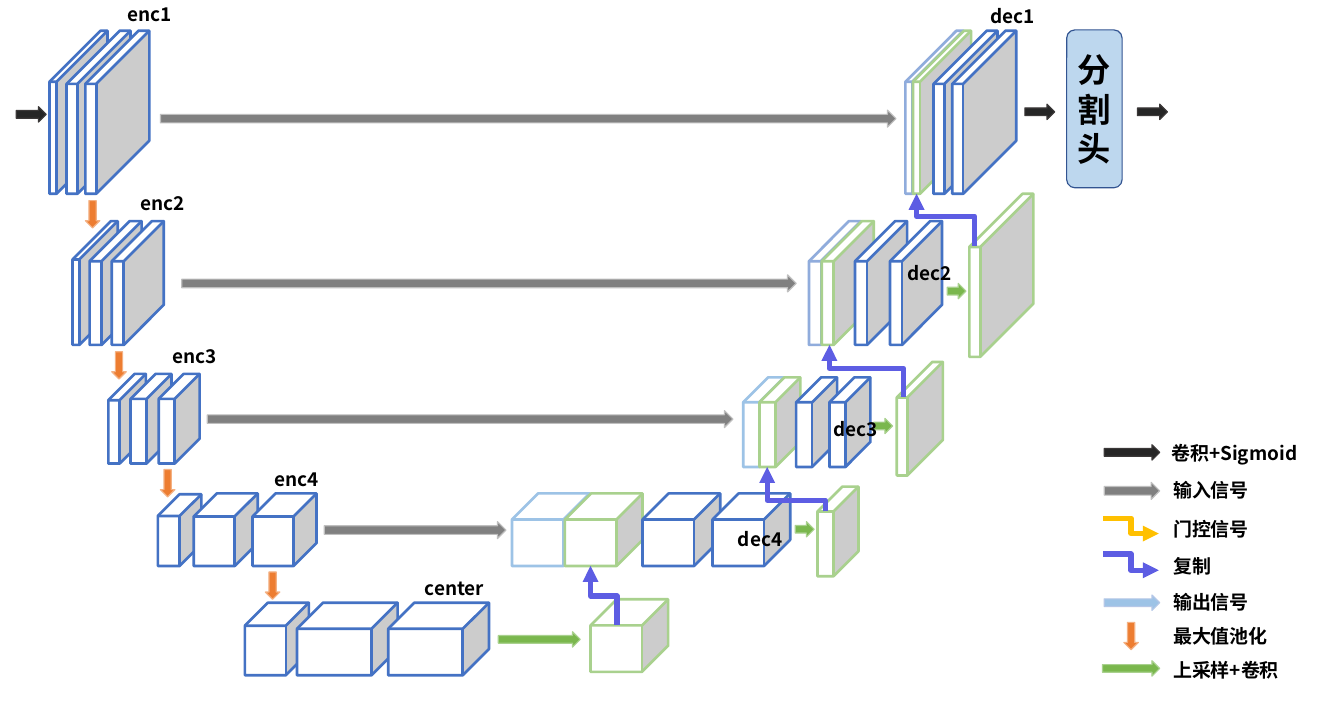
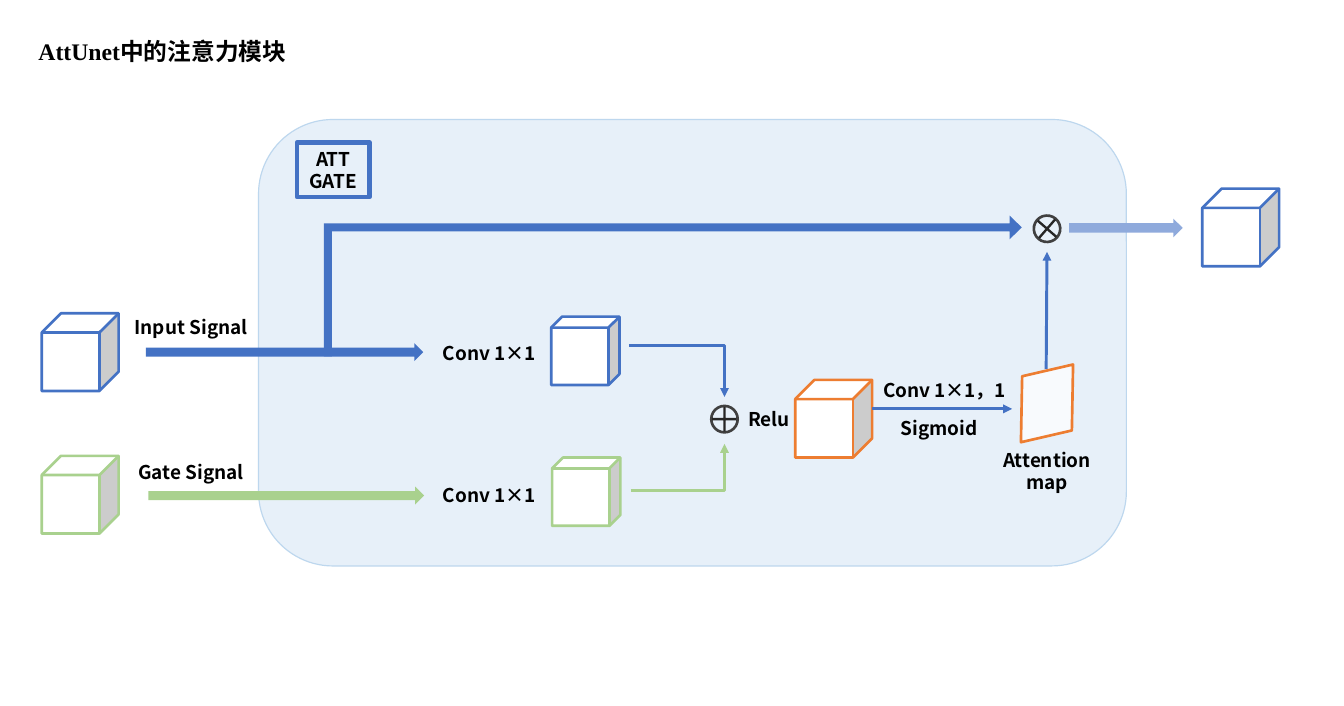
from dataclasses import dataclass

from lxml.etree import SubElement
from pptx import Presentation
from pptx.dml.color import RGBColor
from pptx.enum.shapes import MSO_CONNECTOR, MSO_SHAPE
from pptx.enum.text import MSO_ANCHOR, MSO_AUTO_SIZE, PP_ALIGN
from pptx.oxml.ns import qn
from pptx.util import Inches, Pt


@dataclass(frozen=True)
class Theme:
    blue: str = "4472C4"
    soft_blue: str = "90ACDC"
    pale_blue: str = "9DC3E6"
    green: str = "A9D18E"
    orange: str = "ED7D31"
    violet: str = "5D5DE3"
    yellow: str = "FFC000"
    white: str = "FFFFFF"
    black: str = "000000"
    ink: str = "262626"
    ring: str = "404040"
    panel: str = "DEEBF7"
    panel_edge: str = "BDD7EE"
    head_edge: str = "325491"
    output: str = "8FAADC"
    # Arrow styles: fill and outline
    conv: tuple = ("262626", "3B3838")
    skip: tuple = ("808080", "BFBFBF")
    out: tuple = ("9DC3E6", "B4C7E7")
    pool: tuple = ("ED7D31", "F4B183")
    upsample: tuple = ("7AB74D", "A9D18E")
    font: str = "Noto Sans CJK SC"
    title_font: str = "Times New Roman"
    head_font: str = "Calibri"
    label_size: int = 16
    title_size: int = 20
    head_size: int = 28
    cube_line: float = 2.25
    thin_line: float = 1


T = Theme()
LEFT, CENTER = PP_ALIGN.LEFT, PP_ALIGN.CENTER


def write(sp, text, size=T.label_size, font=T.font, align=CENTER, anchor=MSO_ANCHOR.TOP):
    """Fill a shape with bold text, one paragraph per line."""
    tf = sp.text_frame
    tf.word_wrap = True
    tf.auto_size = MSO_AUTO_SIZE.NONE
    tf.vertical_anchor = anchor
    for i, line in enumerate(text.split("\n")):
        p = tf.add_paragraph() if i else tf.paragraphs[0]
        p.alignment = align
        r = p.add_run()
        r.text = line
        r.font.size = Pt(size)
        r.font.bold = True
        r.font.color.rgb = RGBColor.from_string(T.black)
        r.font.name = font
        SubElement(r.font._element, qn("a:ea"), typeface=T.font)


def draw(s, kind, box, fill=None, line=None, width=T.cube_line, adj=(), rotation=0, opacity=100):
    """Add a preset shape; box is left, top, width, height in inches."""
    sp = s.shapes.add_shape(kind, *map(Inches, box))
    sp.shadow.inherit = False
    sp.rotation = rotation
    for i, value in enumerate(adj):
        sp.adjustments[i] = value
    if fill:
        sp.fill.solid()
        sp.fill.fore_color.rgb = RGBColor.from_string(fill)
        if opacity < 100:
            color = sp._element.spPr.find(qn("a:solidFill")).find(qn("a:srgbClr"))
            SubElement(color, qn("a:alpha"), val=str(opacity * 1000))
    else:
        sp.fill.background()
    if line:
        sp.line.color.rgb = RGBColor.from_string(line)
        sp.line.width = Pt(width)
    else:
        sp.line.fill.background()
    return sp


prs = Presentation()
prs.slide_width, prs.slide_height = Inches(15.75), Inches(8.27)

# Slide 1: network overview
net = prs.slides.add_slide(prs.slide_layouts[6])

# Rows: top, height, width, depth ratio, outline, left edges
feature_maps = [
    # Encoder
    (0.36, 1.91, 0.68, 0.88, T.blue, [0.58]),
    (0.36, 1.91, 0.75, 0.83, T.blue, [0.78, 1.0]),
    (2.59, 1.45, 0.53, 0.85, T.blue, [0.85]),
    (2.59, 1.45, 0.61, 0.77, T.blue, [1.05, 1.31]),
    (4.38, 1.05, 0.44, 0.7, T.blue, [1.27]),
    (4.38, 1.05, 0.48, 0.61, T.blue, [1.53, 1.86]),
    (5.79, 0.84, 0.51, 0.5, T.blue, [1.85]),
    (5.78, 0.85, 0.75, 0.36, T.blue, [2.27, 2.96]),
    # Center
    (7.06, 0.85, 0.75, 0.36, T.blue, [2.87]),
    (7.06, 0.85, 1.18, 0.36, T.blue, [3.48, 4.55]),
    # Decoder
    (0.36, 1.91, 0.68, 0.88, T.soft_blue, [10.61]),
    (0.36, 1.91, 0.68, 0.88, T.green, [10.7]),
    (0.36, 1.91, 0.75, 0.83, T.blue, [10.94, 11.16]),
    (2.59, 1.45, 0.61, 0.77, T.soft_blue, [9.48]),
    (2.59, 1.45, 0.61, 0.77, T.green, [9.63]),
    (2.59, 1.45, 0.61, 0.77, T.blue, [10.02, 10.43]),
    (4.42, 1.05, 0.48, 0.61, T.pale_blue, [8.71]),
    (4.42, 1.05, 0.48, 0.61, T.green, [8.9]),
    (4.42, 1.05, 0.48, 0.61, T.blue, [9.33, 9.72]),
    (5.78, 0.85, 0.91, 0.36, T.pale_blue, [6.0]),
    (5.78, 0.85, 0.91, 0.36, T.green, [6.62]),
    (5.78, 0.85, 0.91, 0.36, T.blue, [7.53, 8.35]),
    # Upsampled
    (2.27, 1.91, 0.75, 0.83, T.green, [11.36]),
    (4.24, 1.33, 0.54, 0.77, T.green, [10.51]),
    (5.7, 1.05, 0.48, 0.61, T.green, [9.58]),
    (7.02, 0.85, 0.91, 0.36, T.green, [6.92]),
]
for top, height, width, depth, outline, lefts in feature_maps:
    for left in lefts:
        draw(net, MSO_SHAPE.CUBE, (left, top, width, height), T.white, outline, adj=[depth])

# Rows: style, height, then left, top, width of each arrow
right_arrows = [
    (T.conv, 0.18, [(0.19, 1.25, 0.35), (12.01, 1.22, 0.35), (13.33, 1.22, 0.35),
                    (12.94, 5.21, 0.65)]),
    (T.skip, 0.2, [(1.88, 1.29, 8.62), (2.13, 3.22, 7.2), (2.43, 4.81, 6.16),
                   (3.8, 6.11, 2.13), (12.94, 5.65, 0.65)]),
    (T.upsample, 0.18, [(11.1, 3.32, 0.22), (10.24, 4.9, 0.22), (9.32, 6.11, 0.22),
                        (5.84, 7.4, 0.96), (12.92, 7.74, 0.67)]),
    (T.out, 0.18, [(12.94, 6.97, 0.65)]),
]
for (fill, line), height, places in right_arrows:
    for left, top, width in places:
        draw(net, MSO_SHAPE.RIGHT_ARROW, (left, top, width, height), fill, line, T.thin_line)

for left, top in [(1.0, 2.35), (1.31, 4.12), (1.88, 5.5), (3.11, 6.7), (13.17, 7.29)]:
    draw(net, MSO_SHAPE.DOWN_ARROW, (left, top, 0.17, 0.32), *T.pool, T.thin_line)

head = draw(net, MSO_SHAPE.ROUNDED_RECTANGLE, (12.5, 0.35, 0.65, 1.85), T.panel_edge,
            T.head_edge, T.thin_line, adj=[0.15])
write(head, "分割头", size=T.head_size, font=T.head_font, anchor=MSO_ANCHOR.MIDDLE)

# Slide 2: attention gate
att = prs.slides.add_slide(prs.slide_layouts[5])
title = att.shapes.title
title.left, title.top, title.width, title.height = map(Inches, (0.35, 0.38, 3.45, 0.44))
write(title, "AttUnet中的注意力模块", size=T.title_size, font=T.title_font, align=LEFT)

draw(att, MSO_SHAPE.ROUNDED_RECTANGLE, (3.03, 1.4, 10.17, 5.23), T.panel, T.panel_edge,
     T.thin_line, opacity=70)
gate = draw(att, MSO_SHAPE.RECTANGLE, (3.48, 1.67, 0.85, 0.64), line=T.blue, width=3.75)
write(gate, "ATT GATE", anchor=MSO_ANCHOR.MIDDLE)

for left, top, width, height, depth, outline in [
    (0.49, 3.67, 0.9, 0.91, 0.25, T.blue),
    (0.49, 5.34, 0.9, 0.91, 0.25, T.green),
    (6.46, 3.71, 0.8, 0.8, 0.16, T.blue),
    (6.47, 5.36, 0.8, 0.8, 0.16, T.green),
    (9.32, 4.45, 0.9, 0.91, 0.25, T.orange),
    (14.09, 2.21, 0.9, 0.91, 0.25, T.blue),
]:
    draw(att, MSO_SHAPE.CUBE, (left, top, width, height), T.white, outline, adj=[depth])

for box, fill in [
    ((1.71, 4.02, 3.25, 0.21), T.blue),
    ((1.74, 5.7, 3.23, 0.21), T.green),
    ((12.53, 2.56, 1.33, 0.22), T.output),
]:
    draw(att, MSO_SHAPE.RIGHT_ARROW, box, fill)

bypass = draw(att, MSO_SHAPE.BENT_UP_ARROW, (7.06, -0.74, 1.65, 8.18), T.blue,
              adj=[0.057, 0.084, 0.087], rotation=90)
bypass._element.spPr.xfrm.set("flipH", "1")

ring, plus = 0.31, 0.39
for x, y, angle in [(8.49, 4.91, 0), (12.27, 2.68, 41)]:
    draw(att, MSO_SHAPE.OVAL, (x - ring / 2, y - ring / 2, ring, ring), line=T.ring,
         rotation=angle)
    draw(att, MSO_SHAPE.MATH_PLUS, (x - plus / 2, y - plus / 2, plus, plus), T.ink,
         adj=[0.07], rotation=angle)

draw(att, MSO_SHAPE.PARALLELOGRAM, (11.87, 4.35, 0.8, 0.75), T.white, T.orange,
     rotation=347, opacity=73)

# Labels of both slides: left, top, width, text
net_labels = [
    (1.4, -0.02, 0.75, "enc1"),
    (1.55, 2.19, 0.75, "enc2"),
    (1.92, 3.99, 0.75, "enc3"),
    (3.12, 5.43, 0.75, "enc4"),
    (4.88, 6.7, 0.92, "center"),
    (8.55, 6.13, 0.75, "dec4"),
    (9.67, 4.84, 0.75, "dec3"),
    (10.54, 3.02, 0.75, "dec2"),
    (11.51, 0.01, 0.75, "dec1"),
    (13.63, 5.12, 1.88, "卷积+Sigmoid"),
    (13.65, 5.56, 1.88, "输入信号"),
    (13.65, 6.01, 1.88, "门控信号"),
    (13.65, 6.45, 1.88, "复制"),
    (13.65, 6.87, 1.88, "输出信号"),
    (13.65, 7.27, 1.88, "最大值池化"),
    (13.65, 7.66, 1.88, "上采样+卷积"),
]
att_labels = [
    (1.39, 3.65, 1.7, "Input Signal"),
    (1.39, 5.35, 1.7, "Gate Signal"),
    (5.01, 3.95, 1.45, "Conv 1×1"),
    (5.01, 5.62, 1.45, "Conv 1×1"),
    (8.64, 4.72, 0.74, "Relu"),
    (10.15, 4.38, 1.84, "Conv 1×1，1"),
    (10.35, 4.83, 1.31, "Sigmoid"),
    (11.42, 5.2, 1.7, "Attention\nmap"),
]
for s, labels, align in [(net, net_labels, LEFT), (att, att_labels, CENTER)]:
    for left, top, width, text in labels:
        height = 0.37 + 0.27 * text.count("\n")
        write(s.shapes.add_textbox(*map(Inches, (left, top, width, height))), text, align=align)

# Connectors of both slides: slide, route, start, end, bend position, colour, width
connectors = [
    (net, "up", (7.23, 7.32), (6.92, 6.63), 0.49, T.violet, 4.5),
    (net, "up", (9.67, 5.99), (8.99, 5.47), 0.25, T.violet, 4.5),
    (net, "up", (10.59, 4.65), (9.72, 4.04), 0.55, T.violet, 4.5),
    (net, "up", (11.42, 2.88), (10.74, 2.27), 0.57, T.violet, 4.5),
    (net, "step", (12.93, 6.07), (13.58, 6.25), 0.5, T.yellow, 4.5),
    (net, "step", (12.93, 6.49), (13.58, 6.68), 0.5, T.violet, 4.5),
    (att, "corner", (7.37, 4.05), (8.49, 4.65), None, T.blue, 2.5),
    (att, "corner", (7.39, 5.75), (8.49, 5.2), None, T.green, 2.5),
    (att, "straight", (10.22, 4.79), (11.86, 4.79), None, T.blue, 2.5),
    (att, "straight", (12.26, 4.32), (12.27, 2.95), None, T.blue, 2.5),
]
for s, route, (x1, y1), (x2, y2), bend, color, width in connectors:
    if route == "up":
        # An elbow that leaves upwards is a sideways one turned about its middle
        cx, cy, dx, dy = (x1 + x2) / 2, (y1 + y2) / 2, (x1 - x2) / 2, (y1 - y2) / 2
        x1, y1, x2, y2 = cx - dy, cy + dx, cx + dy, cy - dx
    kind = MSO_CONNECTOR.STRAIGHT if route == "straight" else MSO_CONNECTOR.ELBOW
    sp = s.shapes.add_connector(kind, *map(Inches, (x1, y1, x2, y2)))
    sp.line.color.rgb = RGBColor.from_string(color)
    sp.line.width = Pt(width)
    spPr = sp._element.spPr
    SubElement(spPr.find(qn("a:ln")), qn("a:tailEnd"), type="triangle")
    SubElement(spPr, qn("a:effectLst"))
    geometry = spPr.find(qn("a:prstGeom"))
    if route == "up":
        spPr.find(qn("a:xfrm")).set("rot", str(270 * 60000))
    if route == "corner":
        geometry.set("prst", "bentConnector2")
    if bend:
        SubElement(geometry.find(qn("a:avLst")), qn("a:gd"), name="adj1",
                   fmla=f"val {round(bend * 100000)}")

prs.save("out.pptx")
